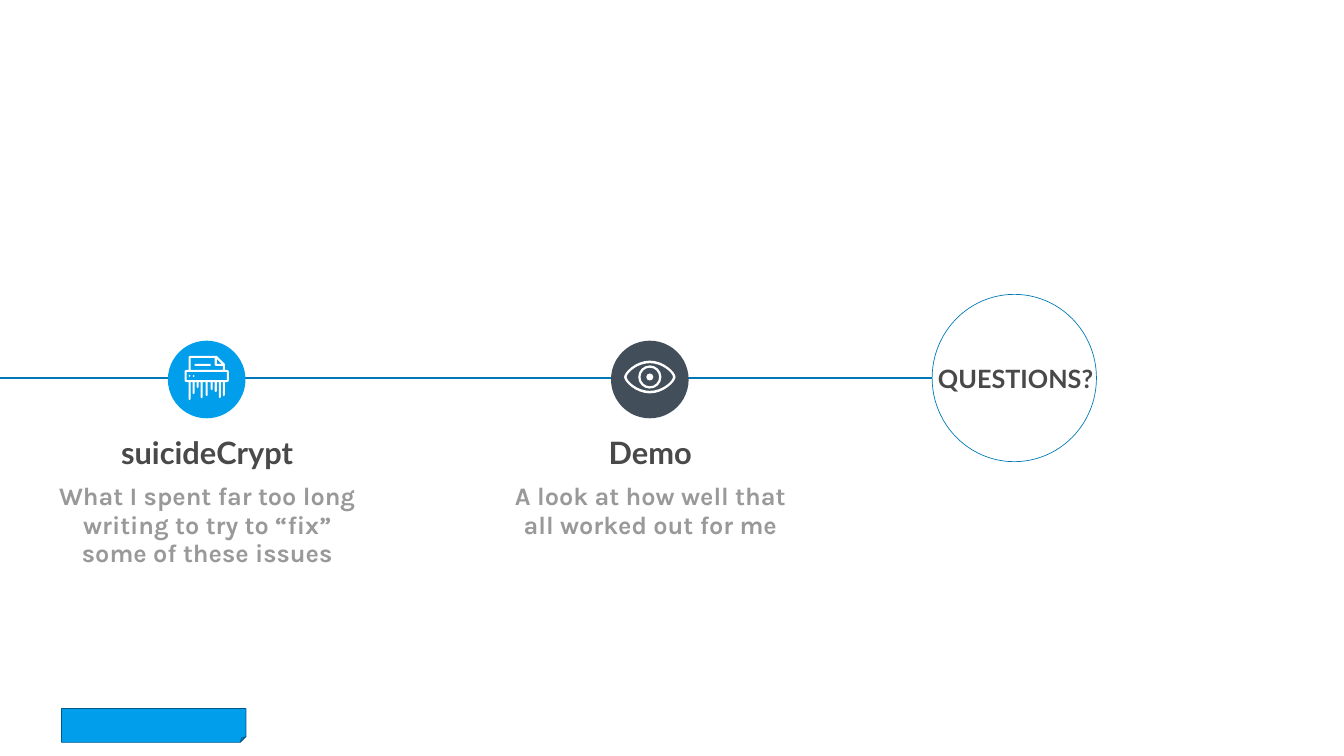
from lxml import etree
from pptx import Presentation
from pptx.dml.color import RGBColor
from pptx.enum import shapes, text
from pptx.oxml.ns import qn
from pptx.util import Inches, Pt

BLUE, SLATE, WHITE = "009EEB", "424F5A", "FFFFFF"
LINE_BLUE, DARK_BLUE = "0178B6", "015987"
HEADING, BODY = "494949", "999999"
AXIS_Y = 7.5


def color(value):
    return RGBColor.from_string(value)


def style(shape, fill=None, line=None, width=1):
    shape.shadow.inherit = False
    if fill:
        shape.fill.solid()
        shape.fill.fore_color.rgb = color(fill)
    else:
        shape.fill.background()
    if line:
        shape.line.color.rgb = color(line)
        shape.line.width = Pt(width)
    else:
        shape.line.fill.background()
    return shape


def add_preset(slide, kind, box, **formatting):
    shape = slide.shapes.add_shape(kind, *map(Inches, box))
    return style(shape, **formatting)


def add_text(slide, content, box, size, font, fill, spacing, after=None, wrap=False):
    text_box = slide.shapes.add_textbox(*map(Inches, box))
    frame = text_box.text_frame
    frame.margin_left = frame.margin_right = 0
    frame.margin_top = frame.margin_bottom = 0
    frame.word_wrap = wrap
    frame.auto_size = text.MSO_AUTO_SIZE.SHAPE_TO_FIT_TEXT
    paragraph = frame.paragraphs[0]
    paragraph.alignment = text.PP_ALIGN.CENTER
    paragraph.line_spacing = Pt(spacing)
    if after:
        paragraph.space_after = Pt(after)
    run = paragraph.add_run()
    run.text = content
    run.font.size = Pt(size)
    run.font.name = font
    run.font.bold = True
    run.font.color.rgb = color(fill)


def add_heading(slide, content, box, size):
    add_text(slide, content, box, size, "Lato", HEADING, 37.3, after=32)


def bend(segments):
    """Turn each three line segments into one Bezier curve."""
    for first, second, third in zip(*[iter(segments)] * 3):
        first.tag = qn("a:cubicBezTo")
        first.extend([second[0], third[0]])
        for spent in (second, third):
            spent.getparent().remove(spent)


def add_icon(slide, left, top, straight=(), curved=()):
    """Fill the contours in white; inner contours cut holes."""
    placed = [[(Inches(left + x), Inches(top + y)) for x, y in contour]
              for contour in [*straight, *curved]]
    builder = slide.shapes.build_freeform(*placed[0][0], scale=1.0)
    for index, contour in enumerate(placed):
        if index:
            builder.move_to(*contour[0])
        builder.add_line_segments(contour[1:], close=True)
    icon = style(builder.convert_to_shape(), fill=WHITE)
    outline = next(icon._element.iter(qn("a:path")))
    lines = outline.findall(qn("a:lnTo"))
    bend(lines[sum(len(contour) - 1 for contour in straight):])


def rounded(center_x, center_y, radius_x, radius_y, rise=0.55):
    """Bezier points of four mirrored quarters; a low rise makes an almond."""
    quarter = [(1, 0), (1, rise), (0.55, 1), (0, 1)]
    half = quarter + [(-x, y) for x, y in quarter[-2::-1]]
    outline = half + [(-x, -y) for x, y in half[1:]]
    return [(center_x + x * radius_x, center_y + y * radius_y) for x, y in outline]


def rectangle(left, top, right, bottom):
    return [(left, top), (right, top), (right, bottom), (left, bottom)]


def add_shredder(slide, left, top):
    # Paper strips: left edge and lower end of each
    strips = [(0.08, 0.88), (0.16, 0.76), (0.24, 0.64), (0.32, 0.84), (0.42, 0.80),
              (0.52, 0.68), (0.60, 0.72), (0.68, 0.84), (0.76, 0.80)]
    outline = [(0.84, 0.28), (0.80, 0.28), (0.80, 0.16), (0.64, 0), (0.12, 0),
               (0.09, 0.01), (0.08, 0.04), (0.08, 0.28), (0.04, 0.28), (0.01, 0.29),
               (0, 0.32), (0, 0.48), (0.01, 0.51), (0.04, 0.52)]
    for x, end in strips:
        outline += [(x, 0.52), (x, end - 0.02), (x + 0.02, end),
                    (x + 0.04, end - 0.02), (x + 0.04, 0.52)]
    outline += [(0.84, 0.52), (0.87, 0.51), (0.88, 0.48), (0.88, 0.32), (0.87, 0.29)]
    paper = [(0.12, 0.04), (0.60, 0.04), (0.60, 0.18), (0.62, 0.20),
             (0.76, 0.20), (0.76, 0.28), (0.12, 0.28)]
    fold = [(0.64, 0.06), (0.74, 0.16), (0.64, 0.16)]
    slot = rectangle(0.04, 0.32, 0.84, 0.48)
    writing = rectangle(0.20, 0.16, 0.52, 0.20)
    buttons = [rounded(x, 0.40, 0.02, 0.02) for x in (0.10, 0.18)]
    add_icon(slide, left, top, [outline, slot, paper, fold, writing], buttons)


def add_eye(slide, center_x, center_y):
    lids = [rounded(0, 0, 0.51, 0.325, rise=0.28), rounded(0, 0, 0.46, 0.275, rise=0.28)]
    iris = [rounded(0, 0, radius, radius) for radius in (0.23, 0.185, 0.07)]
    add_icon(slide, center_x, center_y, curved=lids + iris)


def add_step(slide, center_x, title, title_width, body, body_box, fill):
    """One milestone: disc, heading and description."""
    diameter = 1.54
    text_x = center_x + 0.01
    add_preset(slide, shapes.MSO_SHAPE.OVAL,
               (center_x - diameter / 2, 6.76, diameter, diameter), fill=fill)
    add_heading(slide, title, (text_x - title_width / 2, 8.82, title_width, 0.52), 44)
    width, height = body_box
    add_text(slide, body, (text_x - width / 2, 9.58, width, height),
             36, "Karla", BODY, 40.3, wrap=True)


def add_axis(slide, start_x, end_x):
    axis = slide.shapes.add_connector(
        shapes.MSO_CONNECTOR.STRAIGHT, Inches(start_x), Inches(AXIS_Y),
        Inches(end_x), Inches(AXIS_Y))
    axis.line.color.rgb = color(LINE_BLUE)
    axis.line.width = Pt(2.25)
    etree.SubElement(axis._element.spPr, qn("a:effectLst"))


def add_questions(slide, left, top, width, height):
    add_preset(slide, shapes.MSO_SHAPE.OVAL, (left, top, width, height), line=LINE_BLUE)
    add_heading(slide, "QUESTIONS?", (left + 0.1, 7.29, 3.11, 0.52), 36)


def main():
    presentation = Presentation()
    presentation.slide_width = Inches(26.66)
    presentation.slide_height = Inches(15)
    slide = presentation.slides.add_slide(presentation.slide_layouts[6])

    # Footer tab
    add_preset(slide, shapes.MSO_SHAPE.FOLDED_CORNER, (1.22, 14.06, 3.66, 0.67),
               fill=BLUE, line=DARK_BLUE)

    # Timeline
    circle_left, crypt_x, demo_x = 18.49, 4.1, 12.89
    add_axis(slide, 0, circle_left)
    add_step(slide, demo_x, "Demo", 1.67,
             "A look at how well that all worked out for me", (5.9, 1.12), SLATE)
    add_step(slide, crypt_x, "suicideCrypt", 3.46,
             "What I spent far too long writing to try to “fix” some of these issues",
             (6.25, 1.68), BLUE)
    add_questions(slide, circle_left, 5.84, 3.26, 3.32)

    # Icons
    add_shredder(slide, crypt_x - 0.44, 7.06)
    add_eye(slide, demo_x, 7.48)

    presentation.save("out.pptx")


if __name__ == "__main__":
    main()
